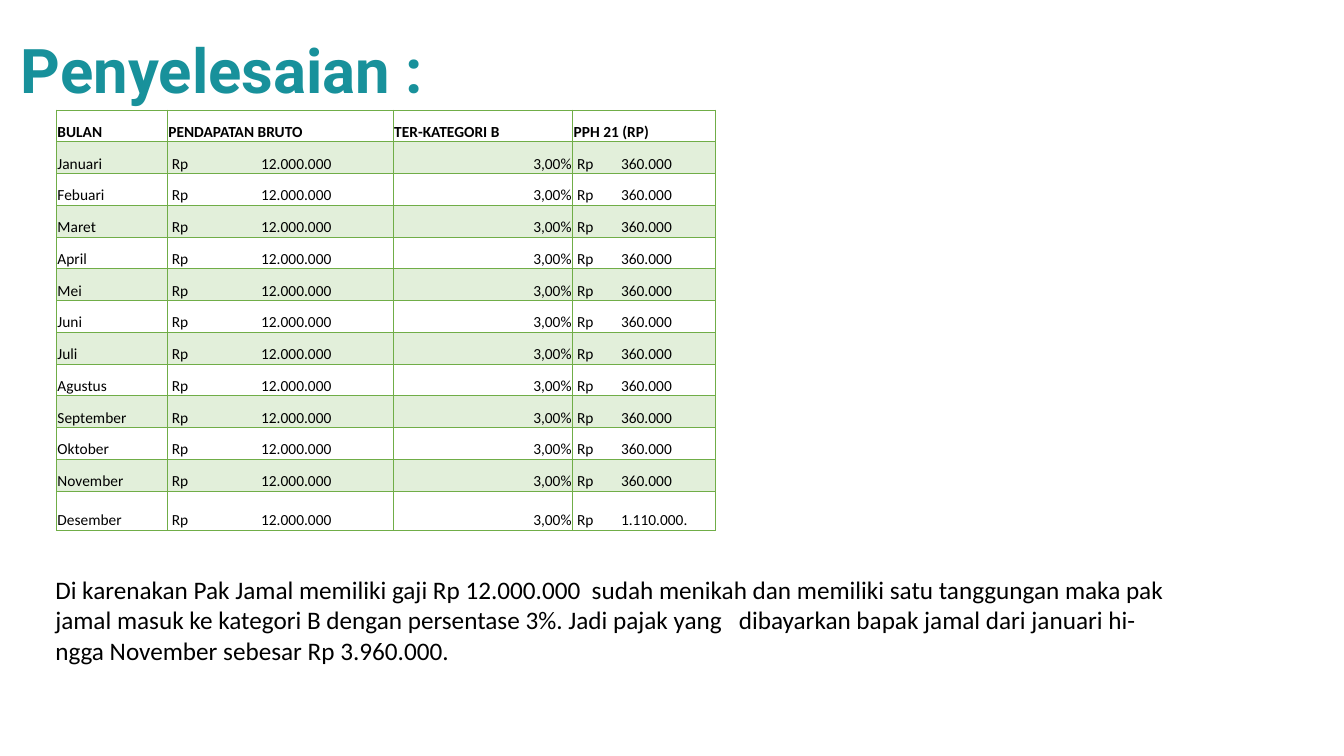
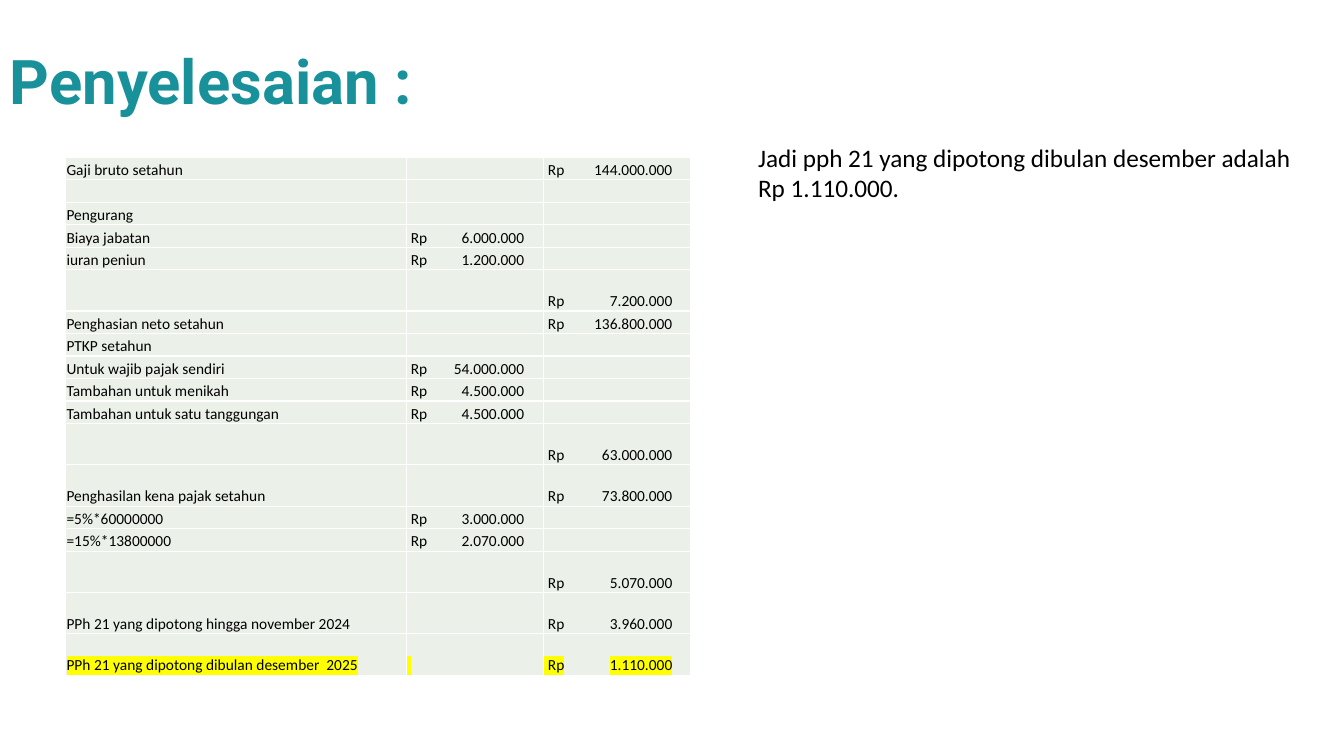
from dataclasses import dataclass

from lxml import etree
from pptx import Presentation
from pptx.dml.color import RGBColor
from pptx.enum.text import MSO_ANCHOR, PP_ALIGN
from pptx.oxml.ns import qn
from pptx.util import Inches, Pt

MIDDLE, BOTTOM = MSO_ANCHOR.MIDDLE, MSO_ANCHOR.BOTTOM
LEFT, RIGHT = PP_ALIGN.LEFT, PP_ALIGN.RIGHT


@dataclass(frozen=True)
class Theme:
    title: str = "18919B"
    text: str = "000000"
    green_line: str = "70AD47"
    green_band: str = "E2EFDA"
    white_line: str = "FFFFFF"
    grey_fill: str = "EBF1E9"
    marker: str = "FFFF00"
    title_font: str = "Roboto"
    body_font: str = "Calibri"
    title_size: int = 44
    body_size: int = 18
    cell_size: int = 11


THEME = Theme()

# Content
TITLE = "Penyelesaian :"

MONTH_HEADER = ("BULAN", "PENDAPATAN BRUTO", "TER-KATEGORI B", "PPH 21 (RP)")
MONTHS = ("Januari", "Febuari", "Maret", "April", "Mei", "Juni", "Juli", "Agustus",
          "September", "Oktober", "November", "Desember")
GROSS, RATE = "12.000.000", "3,00%"
MONTHLY_TAX, DECEMBER_TAX = "360.000", "1.110.000."
MONTH_NOTE = (
    "Di karenakan Pak Jamal memiliki gaji Rp 12.000.000  sudah menikah dan memiliki satu tanggungan maka pak",
    "jamal masuk ke kategori B dengan persentase 3%. Jadi pajak yang   dibayarkan bapak jamal dari januari hi-",
    "ngga November sebesar Rp 3.960.000.",
)

# Label, detail amount, total amount
YEAR_ROWS = (
    ("Gaji bruto setahun", "", "144.000.000"),
    ("", "", ""),
    ("Pengurang", "", ""),
    ("Biaya jabatan", "6.000.000", ""),
    ("iuran peniun", "1.200.000", ""),
    ("", "", "7.200.000"),
    ("Penghasian neto setahun", "", "136.800.000"),
    ("PTKP setahun", "", ""),
    ("Untuk wajib pajak sendiri", "54.000.000", ""),
    ("Tambahan untuk menikah", "4.500.000", ""),
    ("Tambahan untuk satu tanggungan", "4.500.000", ""),
    ("", "", "63.000.000"),
    ("Penghasilan kena pajak setahun", "", "73.800.000"),
    ("=5%*60000000", "3.000.000", ""),
    ("=15%*13800000", "2.070.000", ""),
    ("", "", "5.070.000"),
    ("PPh 21 yang dipotong hingga november 2024", "", "3.960.000"),
    ("PPh 21 yang dipotong dibulan desember  2025", "", "1.110.000"),
)
TALL_YEAR_ROWS = (5, 11, 12, 15, 16, 17)
YEAR_NOTE = ("Jadi pph 21 yang dipotong dibulan desember adalah", "Rp 1.110.000.")


# Text helpers
def add_run(p, text, size, font=THEME.body_font, color=THEME.text, bold=False, marker=None):
    r = p.add_run()
    r.text = text
    r.font.size, r.font.bold, r.font.name = Pt(size), bold, font
    r.font.color.rgb = RGBColor.from_string(color)
    if marker:
        highlight = etree.Element(qn("a:highlight"))
        etree.SubElement(highlight, qn("a:srgbClr"), val=marker)
        r.font.fill._xPr.find(qn("a:latin")).addprevious(highlight)


def add_text_box(slide, left, top, width, height):
    tf = slide.shapes.add_textbox(Inches(left), Inches(top), Inches(width), Inches(height)).text_frame
    tf.word_wrap = True
    return tf


def add_title(slide, left, top):
    tf = add_text_box(slide, left, top, 11.5, 1.45)
    tf.vertical_anchor = MIDDLE
    p = tf.paragraphs[0]
    p.line_spacing = 0.9
    add_run(p, TITLE, THEME.title_size, THEME.title_font, THEME.title, bold=True)


def add_note(slide, lines, left, top, width, height):
    tf = add_text_box(slide, left, top, width, height)
    for i, line in enumerate(lines):
        p = tf.add_paragraph() if i else tf.paragraphs[0]
        add_run(p, line, THEME.body_size)


# Table helpers
def rupiah(amount):
    return f" Rp\t{amount}" if amount else ""


def set_tab(p, position, align):
    tabs = etree.SubElement(p._p.get_or_add_pPr(), qn("a:tabLst"))
    etree.SubElement(tabs, qn("a:tab"), pos=str(Inches(position)), algn=align)


def set_borders(cell, color, width):
    tc_pr = cell._tc.get_or_add_tcPr()
    for i, side in enumerate(("lnL", "lnR", "lnT", "lnB")):
        line = etree.Element(qn(f"a:{side}"), w=str(Pt(width)))
        fill = etree.SubElement(line, qn("a:solidFill"))
        etree.SubElement(fill, qn("a:srgbClr"), val=color)
        tc_pr.insert(i, line)


def fill_cell(cell, text, fill, border, tab=None, align=LEFT, bold=False, marker=None):
    cell.margin_left = cell.margin_top = cell.margin_right = Inches(0.01)
    cell.margin_bottom = 0
    cell.vertical_anchor = BOTTOM
    if fill:
        cell.fill.solid()
        cell.fill.fore_color.rgb = RGBColor.from_string(fill)
    else:
        cell.fill.background()
    set_borders(cell, *border)
    p = cell.text_frame.paragraphs[0]
    p.alignment = align
    if "\t" in text:
        set_tab(p, *tab)
    if text:
        add_run(p, text, THEME.cell_size, bold=bold, marker=marker)
    else:
        p._p.get_or_add_endParaRPr().set("sz", str(THEME.cell_size * 100))


def add_grid(slide, left, top, height, widths, row_count, tall_rows, tall_height):
    table = slide.shapes.add_table(row_count, len(widths), Inches(left), Inches(top),
                                   Inches(sum(widths)), Inches(height)).table
    table.first_row = table.horz_banding = False
    for column, width in zip(table.columns, widths):
        column.width = Inches(width)
    normal = (height - tall_height * len(tall_rows)) / (row_count - len(tall_rows))
    for i, row in enumerate(table.rows):
        row.height = Inches(tall_height if i in tall_rows else normal)
    return table


# Slides
def build_month_slide(slide):
    add_title(slide, 0.11, 0)
    add_note(slide, MONTH_NOTE, 0.45, 5.65, 11.38, 1.01)
    rows = [MONTH_HEADER]
    for month in MONTHS:
        tax = DECEMBER_TAX if month == MONTHS[-1] else MONTHLY_TAX
        rows.append((month, rupiah(GROSS), RATE, rupiah(tax)))
    table = add_grid(slide, 0.56, 1.09, 4.17, (1.1, 2.24, 1.78, 1.42), len(rows),
                     (len(MONTHS),), 0.39)
    tabs = (None, (0.92, "l"), None, (0.47, "l"))
    for i, row in enumerate(rows):
        for j, text in enumerate(row):
            fill_cell(table.cell(i, j), text, THEME.green_band if i % 2 else None,
                      (THEME.green_line, 0.5), tabs[j],
                      RIGHT if text == RATE else LEFT, bold=i == 0)


def build_year_slide(slide):
    add_title(slide, 0, 0.11)
    add_note(slide, YEAR_NOTE, 7.42, 1.36, 5.61, 0.71)
    table = add_grid(slide, 0.65, 1.56, 5.14, (3.38, 1.36, 1.46), len(YEAR_ROWS),
                     TALL_YEAR_ROWS, 0.41)
    tabs = (None, (1.16, "r"), (1.27, "r"))
    for i, (label, detail, total) in enumerate(YEAR_ROWS):
        last = i == len(YEAR_ROWS) - 1
        # The marker runs through the empty middle cell of the last row
        texts = (label, rupiah(detail) or (" " if last else ""), rupiah(total))
        for j, text in enumerate(texts):
            fill_cell(table.cell(i, j), text, THEME.grey_fill, (THEME.white_line, 1),
                      tabs[j], marker=THEME.marker if last else None)


def main():
    prs = Presentation()
    prs.slide_width, prs.slide_height = Inches(13.33), Inches(7.5)
    blank = prs.slide_layouts[6]
    for build in (build_month_slide, build_year_slide):
        build(prs.slides.add_slide(blank))
    prs.save("out.pptx")


if __name__ == "__main__":
    main()
